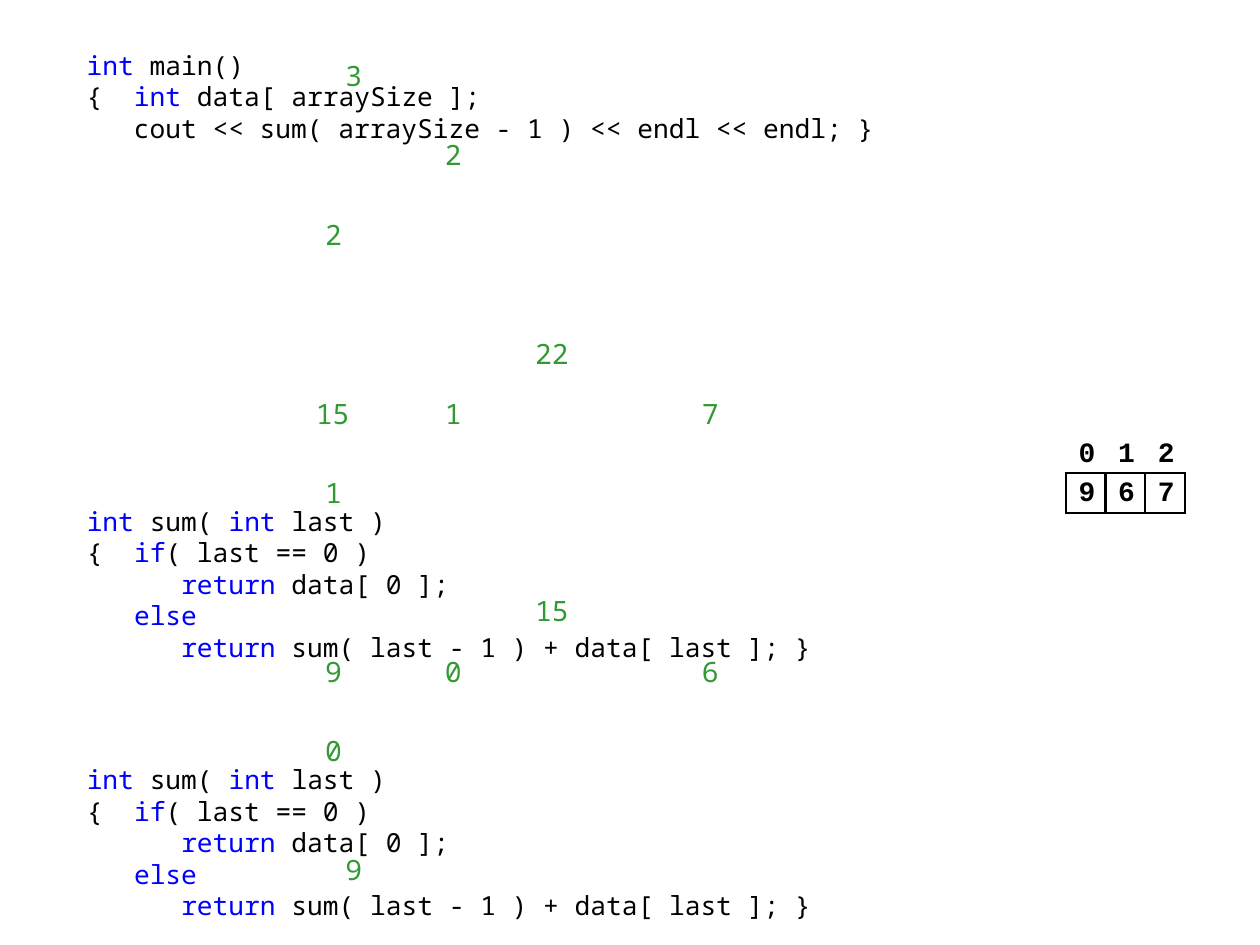
from dataclasses import dataclass

from lxml.etree import SubElement
from pptx import Presentation
from pptx.dml.color import RGBColor
from pptx.enum.text import MSO_ANCHOR, PP_ALIGN
from pptx.oxml.ns import qn
from pptx.slide import Slide
from pptx.table import _Cell
from pptx.text.text import _Paragraph
from pptx.util import Inches, Pt


@dataclass(frozen=True)
class Theme:
    code_font: str = "Noto Sans Mono"
    array_font: str = "Courier New"
    text: RGBColor = RGBColor(0x00, 0x00, 0x00)
    keyword: RGBColor = RGBColor(0x00, 0x00, 0xFF)
    value: RGBColor = RGBColor(0x33, 0x99, 0x33)
    code_size: Pt = Pt(15)
    code_line: Pt = Pt(18)
    value_size: Pt = Pt(16)
    border_width: Pt = Pt(1.5)


@dataclass(frozen=True)
class CodeBlock:
    top: float
    width: float
    height: float
    lines: tuple[str, ...]


@dataclass(frozen=True)
class TraceValue:
    text: str
    center: float
    top: float


THEME = Theme()
CODE_LEFT = 0.59
CELL = 0.315
KEYWORD_MARK = "`"

MAIN_LINES = (
    "`int` main()",
    "{  `int` data[ arraySize ];",
    "   cout << sum( arraySize - 1 ) << endl << endl; }",
)
SUM_LINES = (
    "`int` sum( `int` last )",
    "{  `if`( last == 0 )",
    "      `return` data[ 0 ];",
    "   `else`",
    "      `return` sum( last - 1 ) + data[ last ]; }",
)
CODE_BLOCKS = (
    CodeBlock(0.29, 6.46, 0.94, MAIN_LINES),
    CodeBlock(3.91, 5.98, 1.42, SUM_LINES),
    CodeBlock(5.96, 5.98, 1.42, SUM_LINES),
)

SIZE_X, RESULT_X, PARAMETER_X = 2.8, 2.64, 2.64
ARGUMENT_X, RETURN_X, ELEMENT_X = 3.59, 4.38, 5.63
TRACE_VALUES = (
    TraceValue("3", SIZE_X, 0.44),
    TraceValue("2", ARGUMENT_X, 1.07),
    TraceValue("2", PARAMETER_X, 1.7),
    TraceValue("22", RETURN_X, 2.65),
    TraceValue("15", RESULT_X, 3.12),
    TraceValue("1", ARGUMENT_X, 3.12),
    TraceValue("7", ELEMENT_X, 3.12),
    TraceValue("1", PARAMETER_X, 3.75),
    TraceValue("15", RETURN_X, 4.69),
    TraceValue("9", RESULT_X, 5.17),
    TraceValue("0", ARGUMENT_X, 5.17),
    TraceValue("6", ELEMENT_X, 5.17),
    TraceValue("0", PARAMETER_X, 5.8),
    TraceValue("9", SIZE_X, 6.74),
)
ARRAY_ROWS = (("0", "1", "2"), ("9", "6", "7"))


def add_run(paragraph: _Paragraph, text: str, font: str, size: Pt,
            color: RGBColor, bold: bool = False) -> None:
    run = paragraph.add_run()
    run.text = text
    run.font.name = font
    run.font.size = size
    run.font.bold = bold
    run.font.color.rgb = color


def add_code(slide: Slide, block: CodeBlock) -> None:
    shape = slide.shapes.add_textbox(Inches(CODE_LEFT), Inches(block.top),
                                     Inches(block.width), Inches(block.height))
    frame = shape.text_frame
    frame.word_wrap = True
    frame.margin_left = frame.margin_right = Inches(0.1)
    frame.margin_top = frame.margin_bottom = Inches(0.1)
    for number, line in enumerate(block.lines):
        paragraph = frame.add_paragraph() if number else frame.paragraphs[0]
        paragraph.line_spacing = THEME.code_line
        for index, part in enumerate(line.split(KEYWORD_MARK)):
            if part:
                color = THEME.keyword if index % 2 else THEME.text
                add_run(paragraph, part, THEME.code_font, THEME.code_size, color)


def add_trace_value(slide: Slide, value: TraceValue) -> None:
    width = CELL * len(value.text)
    shape = slide.shapes.add_textbox(Inches(value.center - width / 2), Inches(value.top),
                                     Inches(width), Inches(CELL))
    frame = shape.text_frame
    frame.word_wrap = False
    frame.vertical_anchor = MSO_ANCHOR.MIDDLE
    frame.margin_left = frame.margin_right = Inches(0.1)
    frame.margin_top = frame.margin_bottom = Inches(0)
    paragraph = frame.paragraphs[0]
    paragraph.alignment = PP_ALIGN.CENTER
    add_run(paragraph, value.text, THEME.code_font, THEME.value_size, THEME.value)


def set_borders(cell: _Cell, visible_sides: str) -> None:
    properties = cell._tc.get_or_add_tcPr()
    for side in "LRTB":
        line = SubElement(properties, qn(f"a:ln{side}"), w=str(THEME.border_width))
        if side in visible_sides:
            fill = SubElement(line, qn("a:solidFill"))
            SubElement(fill, qn("a:srgbClr"), val=str(THEME.text))
        else:
            SubElement(line, qn("a:noFill"))


def add_array_table(slide: Slide) -> None:
    row_count, column_count = len(ARRAY_ROWS), len(ARRAY_ROWS[0])
    table = slide.shapes.add_table(row_count, column_count, Inches(8.46), Inches(3.44),
                                   Inches(CELL * column_count),
                                   Inches(CELL * row_count)).table
    table.first_row = False
    table.horz_banding = False
    for row, values in enumerate(ARRAY_ROWS):
        for column, text in enumerate(values):
            cell = table.cell(row, column)
            set_borders(cell, "LRTB" if row else "B")
            cell.fill.background()
            cell.vertical_anchor = MSO_ANCHOR.MIDDLE
            cell.margin_left = cell.margin_right = Inches(0.1)
            cell.margin_top, cell.margin_bottom = Inches(0.02), Inches(0)
            paragraph = cell.text_frame.paragraphs[0]
            paragraph.alignment = PP_ALIGN.CENTER
            add_run(paragraph, text, THEME.array_font, THEME.value_size, THEME.text, True)


def main() -> None:
    presentation = Presentation()
    presentation.slide_width = Inches(10)
    presentation.slide_height = Inches(7.5)
    slide = presentation.slides.add_slide(presentation.slide_layouts[6])
    for block in CODE_BLOCKS:
        add_code(slide, block)
    for value in TRACE_VALUES:
        add_trace_value(slide, value)
    add_array_table(slide)
    presentation.save("out.pptx")


if __name__ == "__main__":
    main()
